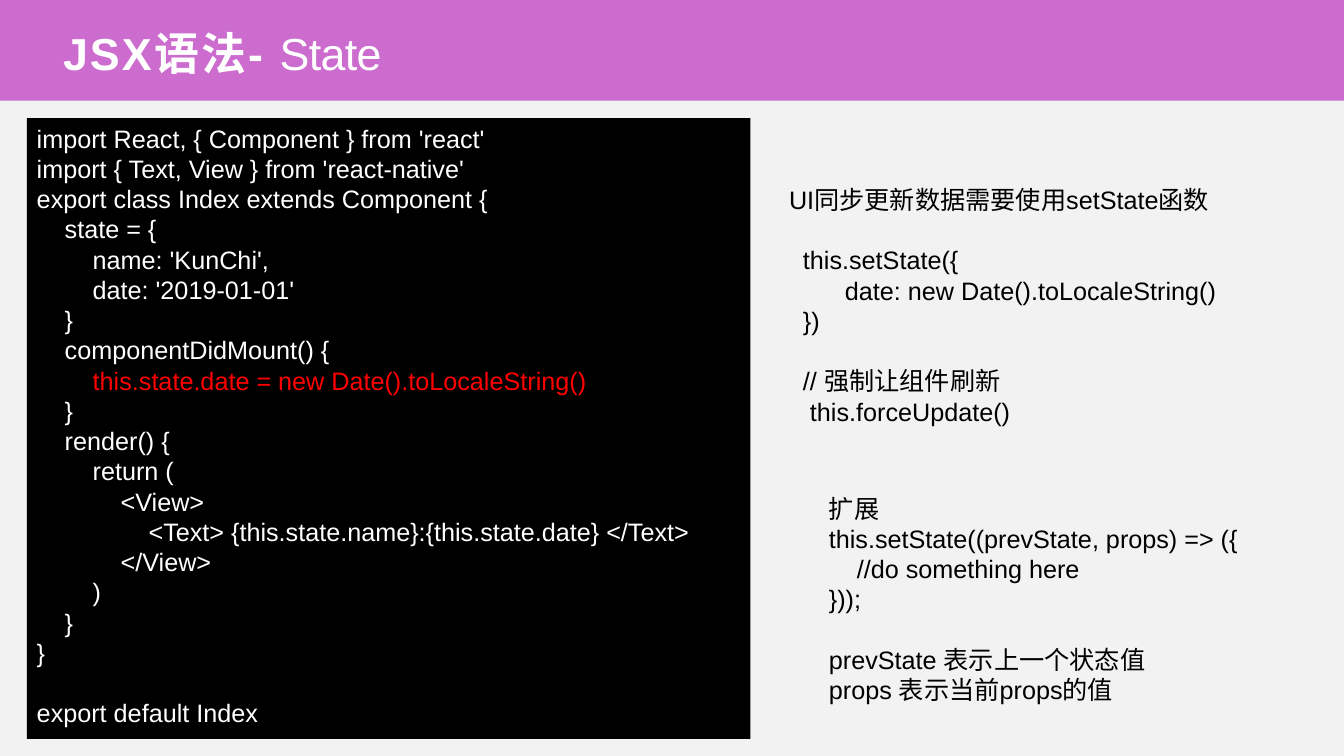
from pptx import Presentation
from pptx.dml.color import RGBColor
from pptx.enum import shapes, text
from pptx.util import Pt

LINE = 21.6
MARK = "this.state.date = new Date().toLocaleString()"
CODE = """import React, { Component } from 'react'
import { Text, View } from 'react-native'
export class Index extends Component {
    state = {
        name: 'KunChi',
        date: '2019-01-01'
    }
    componentDidMount() {
        this.state.date = new Date().toLocaleString()
    }
    render() {
        return (
            <View>
                <Text> {this.state.name}:{this.state.date} </Text>
            </View>
        )
    }
}

export default Index"""
SYNC = """UI同步更新数据需要使用setState函数

  this.setState({
        date: new Date().toLocaleString()
  })

  // 强制让组件刷新
   this.forceUpdate()"""
MORE = """扩展
this.setState((prevState, props) => ({
    //do something here
}));

prevState 表示上一个状态值
props 表示当前props的值"""


def tint(obj, color):
    obj.solid()
    obj.fore_color.rgb = RGBColor.from_string(color)


def add_run(para, words, size, color, bold=False, gap=0):
    run = para.add_run()
    run.text = words
    font = run.font
    font.name, font.size, font.bold = "Arial", Pt(size), bold
    tint(font.fill, color)
    if gap:
        run._r.get_or_add_rPr().set("spc", str(int(gap * 100)))


def add_rect(slide, box, color):
    rect = slide.shapes.add_shape(
        shapes.MSO_SHAPE.RECTANGLE, *[Pt(n) for n in box])
    rect.shadow.inherit = False
    tint(rect.fill, color)
    rect.line.fill.background()
    return rect


def add_lines(frame, words, color):
    frame.word_wrap = True
    frame.vertical_anchor = text.MSO_ANCHOR.TOP
    para = frame.paragraphs[0]
    for num, block in enumerate(words.split("\n\n")):
        for row, line in enumerate(block.split("\n")):
            if num or row:
                para = frame.add_paragraph()
            para.alignment = text.PP_ALIGN.LEFT
            para.line_spacing = Pt(LINE)
            if num and not row:
                para.space_before = Pt(LINE)
            head, mark, tail = line.partition(MARK)
            for part, hue in ((head, color), (mark, "FF0000"), (tail, color)):
                if part:
                    add_run(para, part, 18, hue)


def add_head(slide, box):
    left, top, width, height = box
    band = add_rect(slide, box, "CC6CCE")
    title = slide.shapes.title
    band.element.addnext(title.element)
    title.left, title.top = Pt(left + 39), Pt(top + 12)
    title.width, title.height = Pt(width - 96), Pt(height - 24)
    frame = title.text_frame
    frame.auto_size = text.MSO_AUTO_SIZE.NONE
    frame.vertical_anchor = text.MSO_ANCHOR.BOTTOM
    frame.margin_left = frame.margin_right = Pt(6)
    frame.margin_top = frame.margin_bottom = Pt(3)
    para = frame.paragraphs[0]
    para.alignment = text.PP_ALIGN.LEFT
    add_run(para, "JSX语法- ", 32, "FFFFFF", True, 1.5)
    add_run(para, "State", 32, "FFFFFF", False, -0.5)


def add_code(slide, box):
    add_lines(add_rect(slide, box, "000000").text_frame, CODE, "FFFFFF")


def add_note(slide, box, words):
    note = slide.shapes.add_textbox(*[Pt(n) for n in box])
    add_lines(note.text_frame, words, "000000")


def main():
    deck = Presentation()
    deck.slide_width, deck.slide_height = Pt(960), Pt(540)
    slide = deck.slides.add_slide(deck.slide_layouts[5])
    tint(slide.background.fill, "F2F2F2")
    add_head(slide, (0, 0, 960, 72))
    add_code(slide, (19.2, 84.4, 516.8, 443.5))
    add_note(slide, (556.5, 128, 394.5, 181.5), SYNC)
    add_note(slide, (585, 348.5, 351.5, 160), MORE)
    deck.save("out.pptx")


if __name__ == "__main__":
    main()
